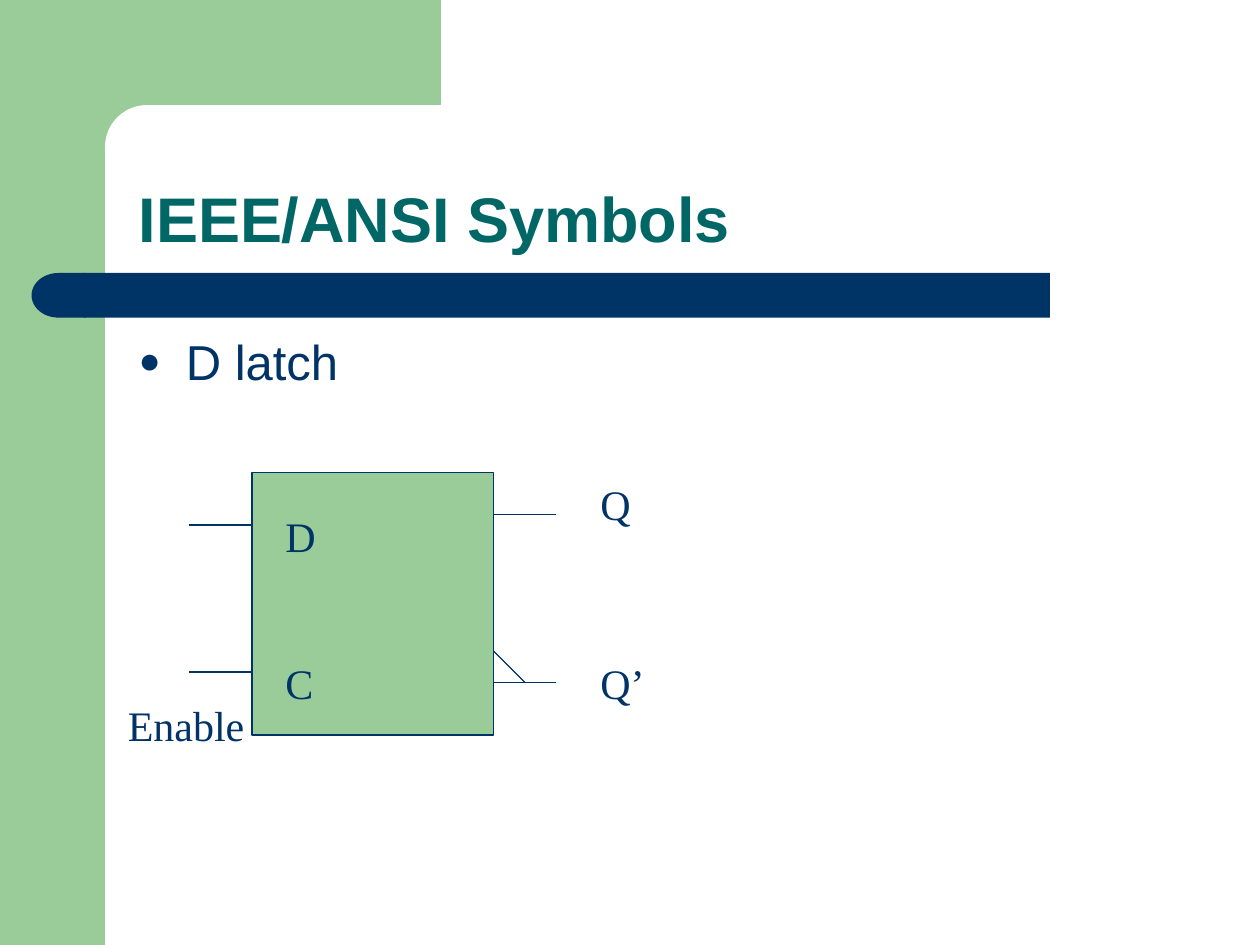
from dataclasses import dataclass

from lxml.etree import SubElement
from pptx import Presentation
from pptx.dml.color import RGBColor
from pptx.enum.shapes import MSO_CONNECTOR, MSO_SHAPE
from pptx.enum.text import MSO_ANCHOR, MSO_AUTO_SIZE, PP_ALIGN
from pptx.oxml.ns import qn
from pptx.util import Emu, Pt

EMU_PER_PX = 9525


@dataclass(frozen=True)
class Theme:
    green: RGBColor = RGBColor(0x99, 0xCC, 0x99)
    navy: RGBColor = RGBColor(0x00, 0x33, 0x66)
    teal: RGBColor = RGBColor(0x00, 0x66, 0x66)
    white: RGBColor = RGBColor(0xFF, 0xFF, 0xFF)
    sans: str = "Arial"
    serif: str = "Times New Roman"
    title_size: int = 36
    body_size: int = 28
    label_size: int = 24
    line_width: float = 0.75


THEME = Theme()


def px(value):
    return Emu(value * EMU_PER_PX)


def add_block(slide, kind, left, top, width, height, fill, outline=None):
    shape = slide.shapes.add_shape(kind, px(left), px(top), px(width), px(height))
    shape.shadow.inherit = False
    shape.fill.solid()
    shape.fill.fore_color.rgb = fill
    if outline is None:
        shape.line.fill.background()
    else:
        shape.line.color.rgb = outline
        shape.line.width = Pt(THEME.line_width)
    return shape


def add_line(slide, start_x, start_y, end_x, end_y):
    line = slide.shapes.add_connector(
        MSO_CONNECTOR.STRAIGHT, px(start_x), px(start_y), px(end_x), px(end_y))
    line.line.color.rgb = THEME.navy
    line.line.width = Pt(THEME.line_width)
    SubElement(line._element.spPr, qn("a:effectLst"))


def write_text(shape, text, *, font, size, color, bold=False,
               anchor=MSO_ANCHOR.TOP, wrap=True, auto_size=MSO_AUTO_SIZE.NONE):
    frame = shape.text_frame
    frame.text = text
    frame.word_wrap = wrap
    frame.auto_size = auto_size
    frame.vertical_anchor = anchor
    paragraph = frame.paragraphs[0]
    paragraph.alignment = PP_ALIGN.LEFT
    run_font = paragraph.runs[0].font
    run_font.name = font
    run_font.size = Pt(size)
    run_font.bold = bold
    run_font.color.rgb = color
    return paragraph


def place(shape, left, top, width, height):
    shape.left, shape.top = px(left), px(top)
    shape.width, shape.height = px(width), px(height)


def set_bullet(paragraph, indent):
    properties = paragraph._p.get_or_add_pPr()
    properties.set("marL", str(px(indent)))
    properties.set("indent", str(px(-indent)))
    color = SubElement(properties, qn("a:buClr"))
    SubElement(color, qn("a:srgbClr"), val=str(THEME.navy))
    SubElement(properties, qn("a:buSzPct"), val="75000")
    SubElement(properties, qn("a:buFont"), typeface=THEME.sans)
    SubElement(properties, qn("a:buChar"), char="●")


def draw_corner_frame(slide, left, top, width, height):
    """Green side and top bands with a rounded white inner corner."""
    side = 80
    add_block(slide, MSO_SHAPE.RECTANGLE, left, top, side, height, THEME.green)
    add_block(slide, MSO_SHAPE.RECTANGLE, left + 72, top, width - 72, 112, THEME.green)
    corner = add_block(slide, MSO_SHAPE.ROUNDED_RECTANGLE,
                       left + side, top + 80, 536, 64, THEME.white)
    corner.adjustments[0] = 0.5


def draw_title_bar(slide, left, top, width, height):
    """Navy bar with a round left end."""
    cap = 41
    bar = add_block(slide, MSO_SHAPE.ROUNDED_RECTANGLE,
                    left + cap - 1, top, width - cap + 1, height, THEME.navy)
    bar.adjustments[0] = 0
    end = add_block(slide, MSO_SHAPE.FLOWCHART_DELAY, left, top, cap, height, THEME.navy)
    end.rotation = 180


def fill_title(slide, *box):
    title = slide.shapes.title
    place(title, *box)
    paragraph = write_text(title, "IEEE/ANSI Symbols", font=THEME.sans,
                           size=THEME.title_size, color=THEME.teal, bold=True,
                           anchor=MSO_ANCHOR.BOTTOM)
    paragraph.line_spacing = 0.9


def fill_body(slide, *box):
    body = slide.placeholders[1]
    place(body, *box)
    paragraph = write_text(body, "D latch", font=THEME.sans,
                           size=THEME.body_size, color=THEME.navy)
    paragraph.space_before = Pt(7)
    set_bullet(paragraph, 36)


def draw_latch(slide, left, top, width, height):
    """Latch block with its pins, inversion mark and labels."""
    pin, mark = 48, 24
    right = left + width
    inverted_y = top + 160
    add_block(slide, MSO_SHAPE.RECTANGLE, left, top, width, height,
              THEME.green, THEME.navy)
    for pin_y in (top + 40, top + 152):
        add_line(slide, left - pin, pin_y, left, pin_y)
    for pin_y in (top + 32, inverted_y):
        add_line(slide, right, pin_y, right + pin, pin_y)
    add_line(slide, right, inverted_y - mark, right + mark, inverted_y)

    labels = (
        ("Enable", left - 104, top + 168, 108),
        ("D", left + 16, top + 24, 42),
        ("C", left + 16, top + 136, 40),
        ("Q", right + 72, top, 42),
        ("Q’", right + 72, top + 136, 53),
    )
    for text, label_left, label_top, label_width in labels:
        label = slide.shapes.add_textbox(
            px(label_left), px(label_top), px(label_width), px(48))
        write_text(label, text, font=THEME.serif, size=THEME.label_size,
                   color=THEME.navy, wrap=False,
                   auto_size=MSO_AUTO_SIZE.SHAPE_TO_FIT_TEXT)


def main():
    presentation = Presentation()
    presentation.slide_width, presentation.slide_height = px(960), px(720)
    slide = presentation.slides.add_slide(presentation.slide_layouts[1])
    draw_corner_frame(slide, 0, 0, 336, 720)
    draw_title_bar(slide, 24, 208, 776, 34)
    fill_title(slide, 96, 80, 840, 120)
    fill_body(slide, 96, 248, 840, 392)
    draw_latch(slide, 192, 360, 184, 200)
    presentation.save("out.pptx")


if __name__ == "__main__":
    main()
